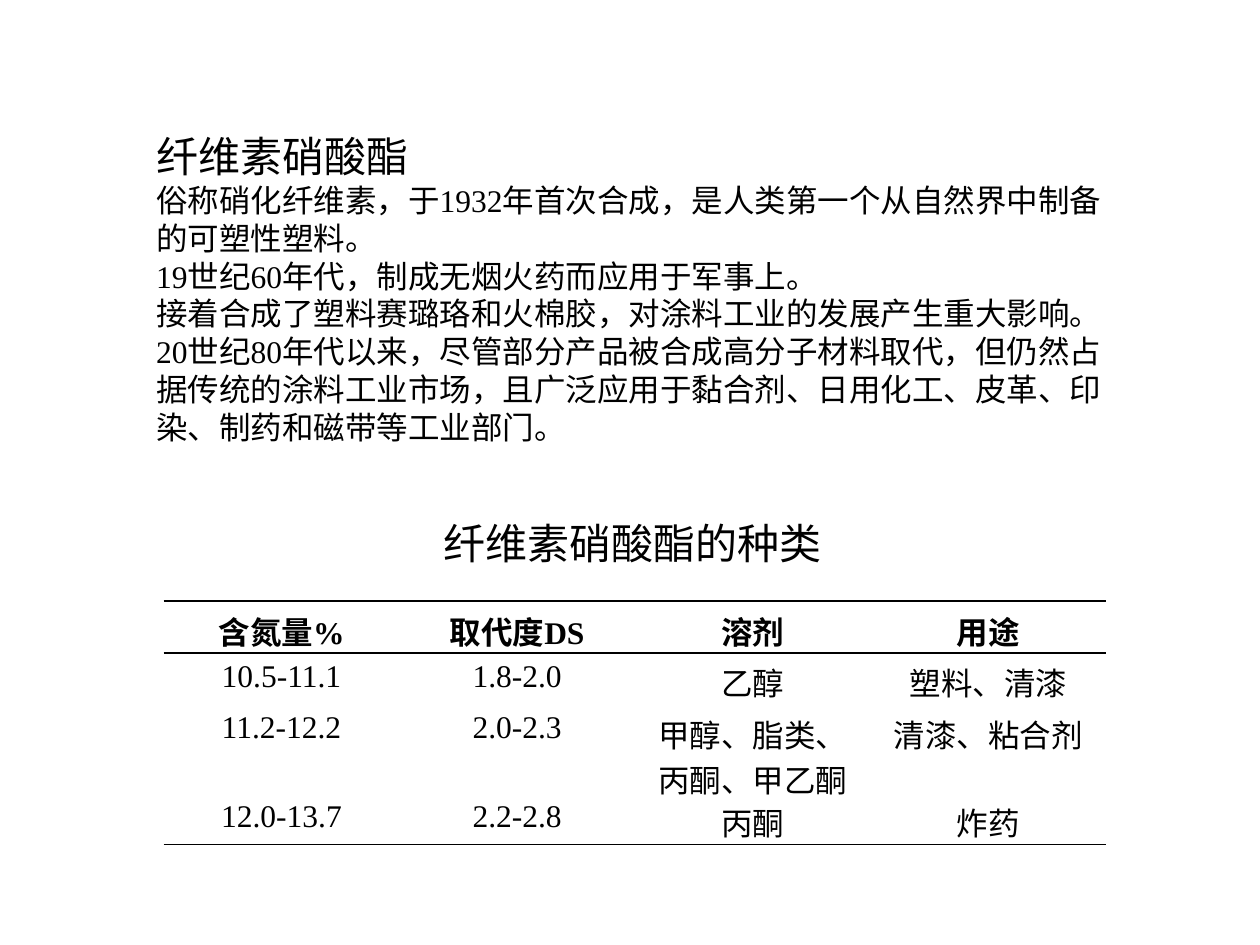
from lxml.etree import SubElement
from pptx import Presentation
from pptx.dml.color import RGBColor
from pptx.enum.text import MSO_AUTO_SIZE as AutoSize, PP_ALIGN as Align
from pptx.oxml.ns import qn
from pptx.util import Cm, Pt

BLACK = RGBColor(0x00, 0x00, 0x00)
SERIF = "Times New Roman"
SANS = "DejaVu Sans"
NO_GRID_STYLE = "{2D5ABB26-0587-4C30-8999-92F81FD0307C}"

TITLE = {"size": Pt(24), "name": SERIF}
BODY = {"size": Pt(18), "name": SERIF}
HEADER = {**BODY, "bold": True}
LAST = {**BODY, "name": SANS}

INTRO = [
    ("纤维素硝酸酯", TITLE),
    ("俗称硝化纤维素，于1932年首次合成，是人类第一个从自然界中制备的可塑性塑料。", BODY),
    ("19世纪60年代，制成无烟火药而应用于军事上。", BODY),
    ("接着合成了塑料赛璐珞和火棉胶，对涂料工业的发展产生重大影响。", BODY),
    ("20世纪80年代以来，尽管部分产品被合成高分子材料取代，但仍然占据传统的涂料工业市场，"
     "且广泛应用于黏合剂、日用化工、皮革、印染、制药和磁带等工业部门。", BODY),
]
CAPTION = [("纤维素硝酸酯的种类", TITLE)]
GRADES = [
    ("含氮量%", "取代度DS", "溶剂", "用途"),
    ("10.5-11.1", "1.8-2.0", "乙醇", "塑料、清漆"),
    ("11.2-12.2", "2.0-2.3", "甲醇、脂类、丙酮、甲乙酮", "清漆、粘合剂"),
    ("12.0-13.7", "2.2-2.8", "丙酮", "炸药"),
]


def write(paragraph, text, style):
    run = paragraph.add_run()
    run.text = text
    for key, value in style.items():
        setattr(run.font, key, value)
    run.font.color.rgb = BLACK


def add_text(slide, box, lines, wrap):
    frame = slide.shapes.add_textbox(*box).text_frame
    frame.word_wrap = wrap
    frame.auto_size = AutoSize.SHAPE_TO_FIT_TEXT
    for index, (text, style) in enumerate(lines):
        paragraph = frame.add_paragraph() if index else frame.paragraphs[0]
        write(paragraph, text, style)


def add_rule(cell, edge):
    """Draw a thin black rule on one edge of a cell."""
    line = SubElement(cell._tc.get_or_add_tcPr(), qn(f"a:{edge}"), w=str(Pt(1)))
    fill = SubElement(line, qn("a:solidFill"))
    SubElement(fill, qn("a:srgbClr"), val=str(BLACK))


def add_grades(slide, box, row_height):
    holder = slide.shapes.add_table(len(GRADES), len(GRADES[0]), *box)
    table = holder.table
    table.first_row = table.horz_banding = False
    table._tbl.tblPr.find(qn("a:tableStyleId")).text = NO_GRID_STYLE
    for row in table.rows:
        row.height = row_height
    holder.height = box[3]

    last = len(GRADES) - 1
    for r, grade in enumerate(GRADES):
        edges = {0: ("lnT", "lnB"), last: ("lnB",)}.get(r, ())
        for c, text in enumerate(grade):
            cell = table.cell(r, c)
            paragraph = cell.text_frame.paragraphs[0]
            paragraph.alignment = Align.CENTER
            # The solvent and use of the last grade are set in the sans font
            style = HEADER if r == 0 else LAST if r == last and c >= 2 else BODY
            write(paragraph, text, style)
            for edge in edges:
                add_rule(cell, edge)
            cell.fill.background()


def main():
    deck = Presentation()
    deck.slide_width, deck.slide_height = Cm(25.4), Cm(19.05)
    slide = deck.slides.add_slide(deck.slide_layouts[6])

    # Introduction
    add_text(slide, (Cm(2.9), Cm(2.51), Cm(19.81), Cm(6.68)), INTRO, True)
    # Table caption
    add_text(slide, (Cm(8.69), Cm(10.31), Cm(8.2), Cm(1.27)), CAPTION, False)
    # Grades table
    add_grades(slide, (Cm(3.3), Cm(12.12), Cm(19), Cm(4.88)), Cm(1.04))

    deck.save("out.pptx")


if __name__ == "__main__":
    main()
